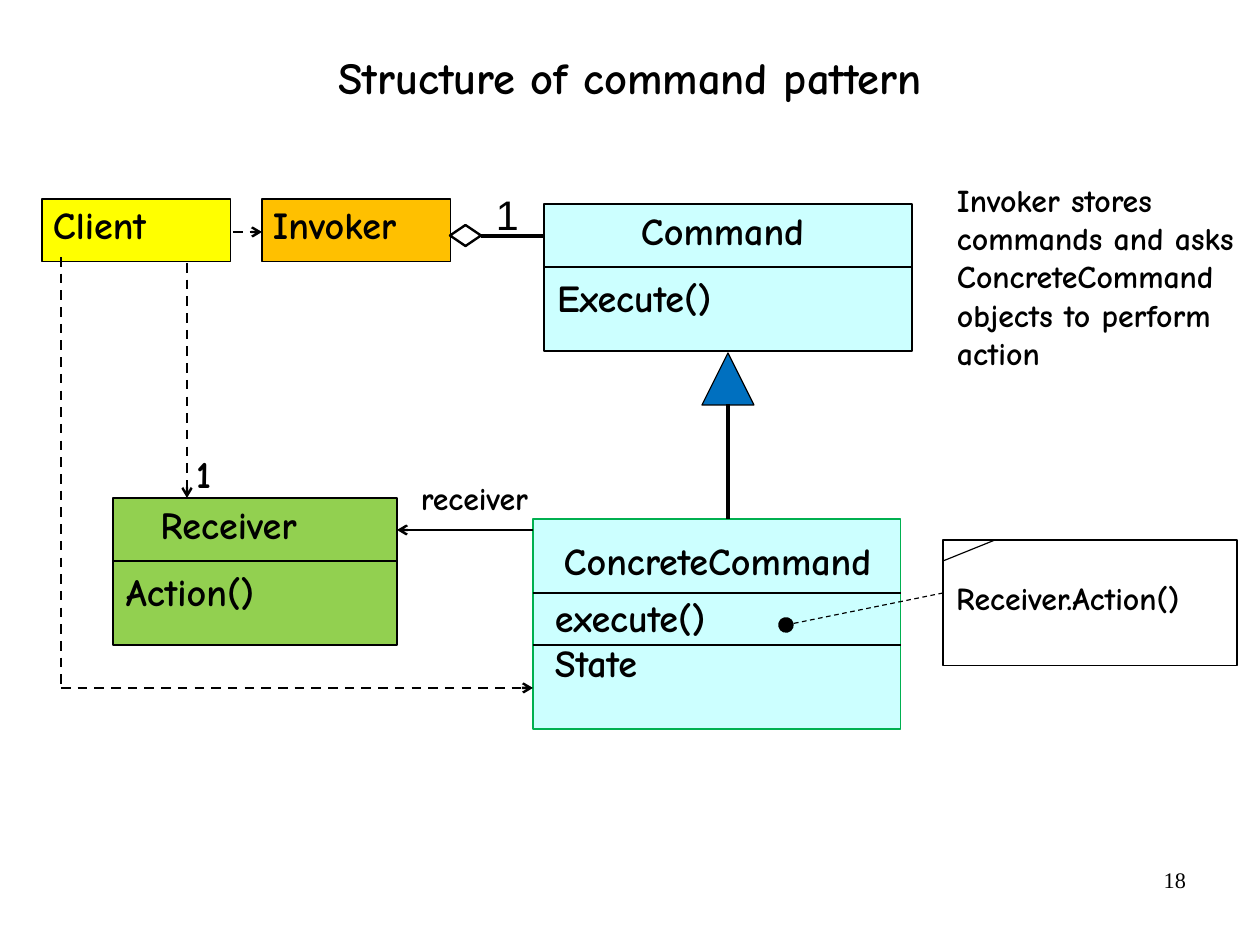
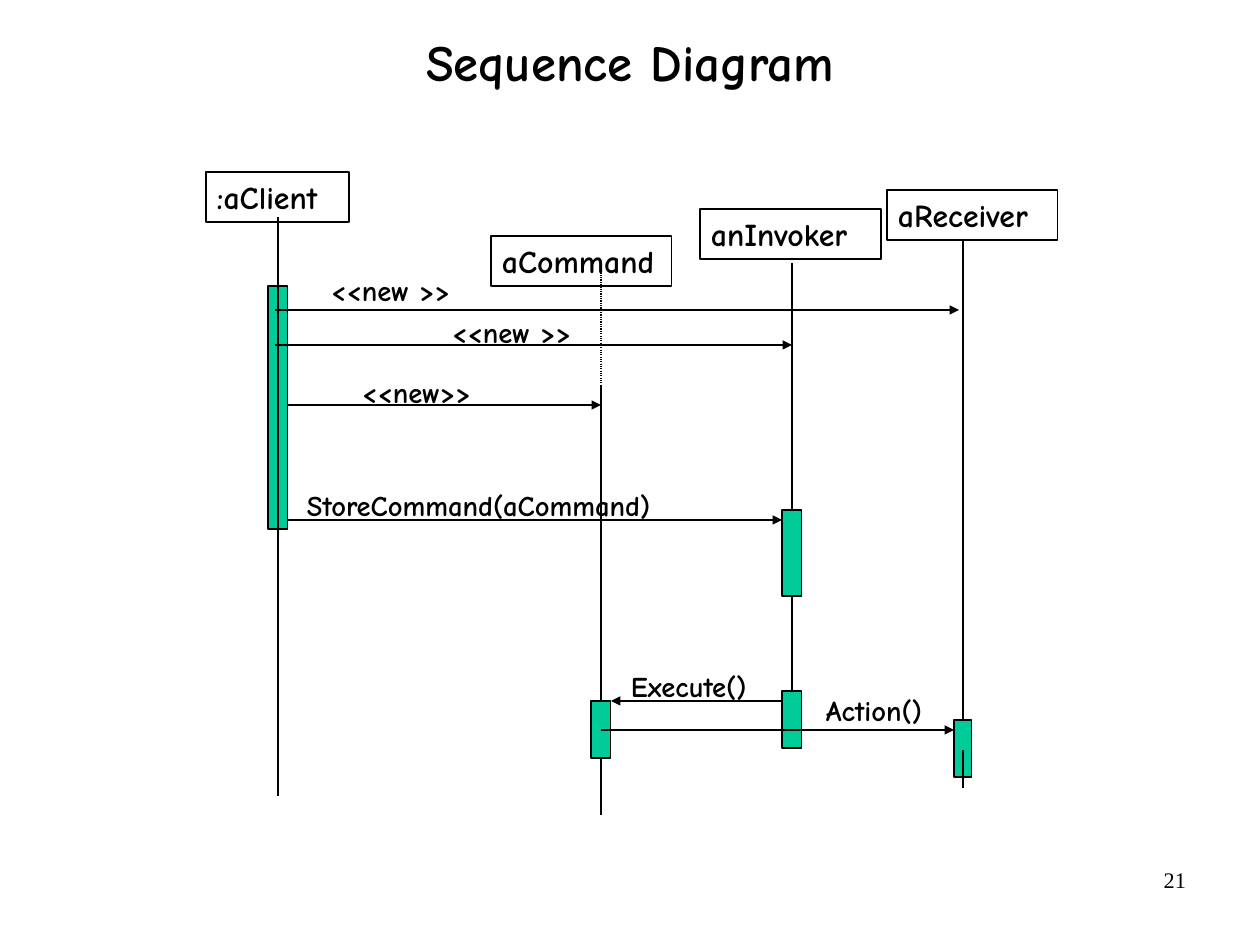
import lxml.etree
import pptx
import pptx.dml.color
import pptx.enum.dml
import pptx.enum.shapes
import pptx.enum.text
import pptx.oxml.ns
import pptx.util

RGBColor = pptx.dml.color.RGBColor
BLACK = RGBColor(0x00, 0x00, 0x00)
CYAN = RGBColor(0xCC, 0xFF, 0xFF)
GREEN = RGBColor(0x92, 0xD0, 0x50)
DARK_GREEN = RGBColor(0x00, 0xB0, 0x50)
BLUE = RGBColor(0x00, 0x70, 0xC0)
ORANGE = RGBColor(0xFF, 0xC0, 0x00)
YELLOW = RGBColor(0xFF, 0xFF, 0x00)
TEAL = RGBColor(0x00, 0xCC, 0x99)

ALIGN = pptx.enum.text.PP_ALIGN
ANCHOR = pptx.enum.text.MSO_ANCHOR
SHAPE = pptx.enum.shapes.MSO_SHAPE
DASH = pptx.enum.dml.MSO_LINE.DASH
DOT = pptx.enum.dml.MSO_LINE.ROUND_DOT

EMU_PER_PX = 8000
WIDTH, HEIGHT = 1260, 945
UML_INSET = (13, 7)


def px(*lengths):
    return [pptx.util.Emu(length * EMU_PER_PX) for length in lengths]


def write(frame, text, size=24, font="Comic Neue", bold=True, align=ALIGN.LEFT,
          anchor=ANCHOR.TOP, inset=(11, 6), wrap=True, spacing=None):
    """Fill a text frame, one paragraph for each line of text."""
    frame.auto_size = pptx.enum.text.MSO_AUTO_SIZE.NONE
    frame.word_wrap = wrap
    frame.vertical_anchor = anchor
    frame.margin_left, frame.margin_top = px(*inset)
    frame.margin_right, frame.margin_bottom = px(*inset)
    frame.text = text
    for paragraph in frame.paragraphs:
        paragraph.alignment = align
        if spacing:
            paragraph.line_spacing = spacing
        for run in paragraph.runs:
            run.font.name = font
            run.font.size = pptx.util.Pt(size)
            run.font.bold = bold
            run.font.color.rgb = BLACK


class Deck:
    """Holds the shared style and the slide being drawn."""

    def __init__(self):
        self.presentation = pptx.Presentation()
        self.presentation.slide_width, self.presentation.slide_height = px(WIDTH, HEIGHT)
        self.slide = None

    def new_slide(self, title, number, top, size):
        layout = self.presentation.slide_layouts.get_by_name("Title Only")
        self.slide = self.presentation.slides.add_slide(layout)
        heading = self.slide.shapes.title
        heading.left, heading.top, heading.width, heading.height = px(93, top, 1074, 157)
        write(heading.text_frame, title, size=size, align=ALIGN.CENTER,
              anchor=ANCHOR.MIDDLE, inset=(0, 0), spacing=0.88)
        self.text(str(number), 903, 860, 294, 65, size=14, font="Times New Roman",
                  bold=False, align=ALIGN.RIGHT)

    def text(self, text, left, top, width, height, **style):
        box = self.slide.shapes.add_textbox(*px(left, top, width, height))
        write(box.text_frame, text, **style)

    def uml_text(self, text, left, top, width, height, **style):
        self.text(text, left, top, width, height, inset=UML_INSET, **style)

    def uml_name(self, text, left, top, width, height=53, **style):
        self.uml_text(text, left, top, width, height, align=ALIGN.CENTER,
                      anchor=ANCHOR.MIDDLE, wrap=False, **style)

    def shape(self, left, top, width, height, fill=None, kind=SHAPE.RECTANGLE,
              line=BLACK, weight=0.75, text=None, **style):
        shape = self.slide.shapes.add_shape(kind, *px(left, top, width, height))
        shape.shadow.inherit = False
        if fill is None:
            shape.fill.background()
        else:
            shape.fill.solid()
            shape.fill.fore_color.rgb = fill
        shape.line.color.rgb = line
        shape.line.width = pptx.util.Pt(weight)
        if text:
            write(shape.text_frame, text, **style)

    def line(self, x1, y1, x2, y2, weight=0.75, dash=None, end=None, end_size="med"):
        """Draw a line; end names the arrowhead at (x2, y2)."""
        connector = self.slide.shapes.add_connector(
            pptx.enum.shapes.MSO_CONNECTOR.STRAIGHT, *px(x1, y1, x2, y2))
        connector.line.color.rgb = BLACK
        connector.line.width = pptx.util.Pt(weight)
        if dash:
            connector.line.dash_style = dash
        qn = pptx.oxml.ns.qn
        properties = connector.element.spPr
        if end:
            outline = properties.find(qn("a:ln"))
            lxml.etree.SubElement(outline, qn("a:tailEnd"), type=end,
                                  w=end_size, len=end_size)
        lxml.etree.SubElement(properties, qn("a:effectLst"))


def draw_structure(deck):
    deck.new_slide("Structure of command pattern", 18, top=2, size=28)

    # Client and Invoker
    for name, left, fill in (("Client", 42, YELLOW), ("Invoker", 262, ORANGE)):
        deck.shape(left, 199, 189, 63, fill, text=name, inset=(11, 2))

    # Command
    deck.shape(544, 204, 368, 147, CYAN)
    deck.uml_name("Command", 607, 204, 231)
    deck.line(544, 267, 912, 267)
    deck.uml_text("Execute()", 544, 267, 201, 59)

    # Receiver
    deck.shape(113, 498, 284, 147, GREEN)
    deck.uml_name("Receiver", 113, 498, 231)
    deck.line(113, 561, 397, 561)
    deck.uml_text("Action()", 113, 561, 170, 59)

    # ConcreteCommand
    deck.shape(533, 519, 368, 210, CYAN, line=DARK_GREEN)
    deck.uml_name("ConcreteCommand", 607, 519, 221, 83)
    for y in (593, 645):
        deck.line(533, y, 901, y)
    deck.uml_text("execute()\nState", 542, 587, 199, 105)

    # Inheritance and aggregation
    deck.shape(702, 353, 52, 52, BLUE, kind=SHAPE.ISOSCELES_TRIANGLE)
    deck.line(728, 404, 728, 519, weight=2.25)
    deck.line(544, 236, 481, 236, weight=2.25)
    deck.shape(450, 225, 31, 21, kind=SHAPE.DIAMOND, weight=1.5)
    deck.uml_text("1", 483, 182, 49, 63, size=26, font="Arial", bold=False)

    # Associations
    for x1, y1, x2, y2, dash, end in (
        (61, 257, 61, 688, DASH, None),
        (61, 688, 533, 688, DASH, "arrow"),
        (187, 263, 187, 498, DASH, "arrow"),
        (233, 232, 262, 232, DASH, "arrow"),
        (533, 530, 397, 530, None, "arrow"),
    ):
        deck.line(x1, y1, x2, y2, weight=1.5, dash=dash, end=end)
    deck.uml_text("1", 183, 443, 49, 58)
    deck.uml_name("receiver", 359, 471, 231, size=20)

    # Notes
    deck.shape(943, 540, 294, 126)
    deck.line(995, 540, 943, 561)
    deck.uml_text("Receiver.Action()", 943, 572, 291, 51, size=20)
    deck.line(943, 593, 786, 625, dash=DASH, end="oval", end_size="lg")
    deck.text("Invoker stores commands and asks ConcreteCommand objects to perform action",
              946, 175, 314, 242, size=20)


def draw_sequence(deck):
    deck.new_slide("Sequence Diagram", 21, top=-13, size=32)
    client, command, invoker, receiver = 278, 601, 792, 963

    for center, top, width, height in (
        (client, 286, 20, 243),
        (command, 701, 20, 57),
        (invoker, 510, 20, 86),
        (invoker, 691, 20, 57),
        (receiver, 720, 18, 57),
    ):
        deck.shape(center - width // 2, top, width, height, TEAL)

    for x, top, bottom, dash in (
        (client, 217, 796, None),
        (command, 263, 386, DOT),
        (command, 386, 701, None),
        (command, 758, 815, None),
        (invoker, 263, 510, None),
        (invoker, 596, 691, None),
        (receiver, 240, 720, None),
        (receiver, 750, 788, None),
    ):
        deck.line(x, top, x, bottom, dash=dash)

    for name, left, top, width in (
        (":aClient", 206, 172, 143),
        ("aCommand", 491, 236, 181),
        ("anInvoker", 700, 209, 181),
        ("aReceiver", 887, 190, 171),
    ):
        deck.shape(left, top, width, 50, text=name, size=20)

    for message, left, top, width, start, stop, y in (
        ("<<new >>", 320, 267, 371, 275, 959, 310),
        ("<<new >>", 441, 309, 379, 275, invoker, 345),
        ("<<new>>", 351, 369, 371, 287, command, 405),
        ("StoreCommand(aCommand)", 296, 482, 400, 287, 782, 520),
        ("Execute()", 620, 663, 152, 782, 611, 701),
        ("Action()", 815, 687, 305, command, 954, 730),
    ):
        deck.line(start, y, stop, y, end="triangle")
        deck.text(message, left, top, width, 46, size=18)


def main():
    deck = Deck()
    draw_structure(deck)
    draw_sequence(deck)
    deck.presentation.save("out.pptx")


if __name__ == "__main__":
    main()
